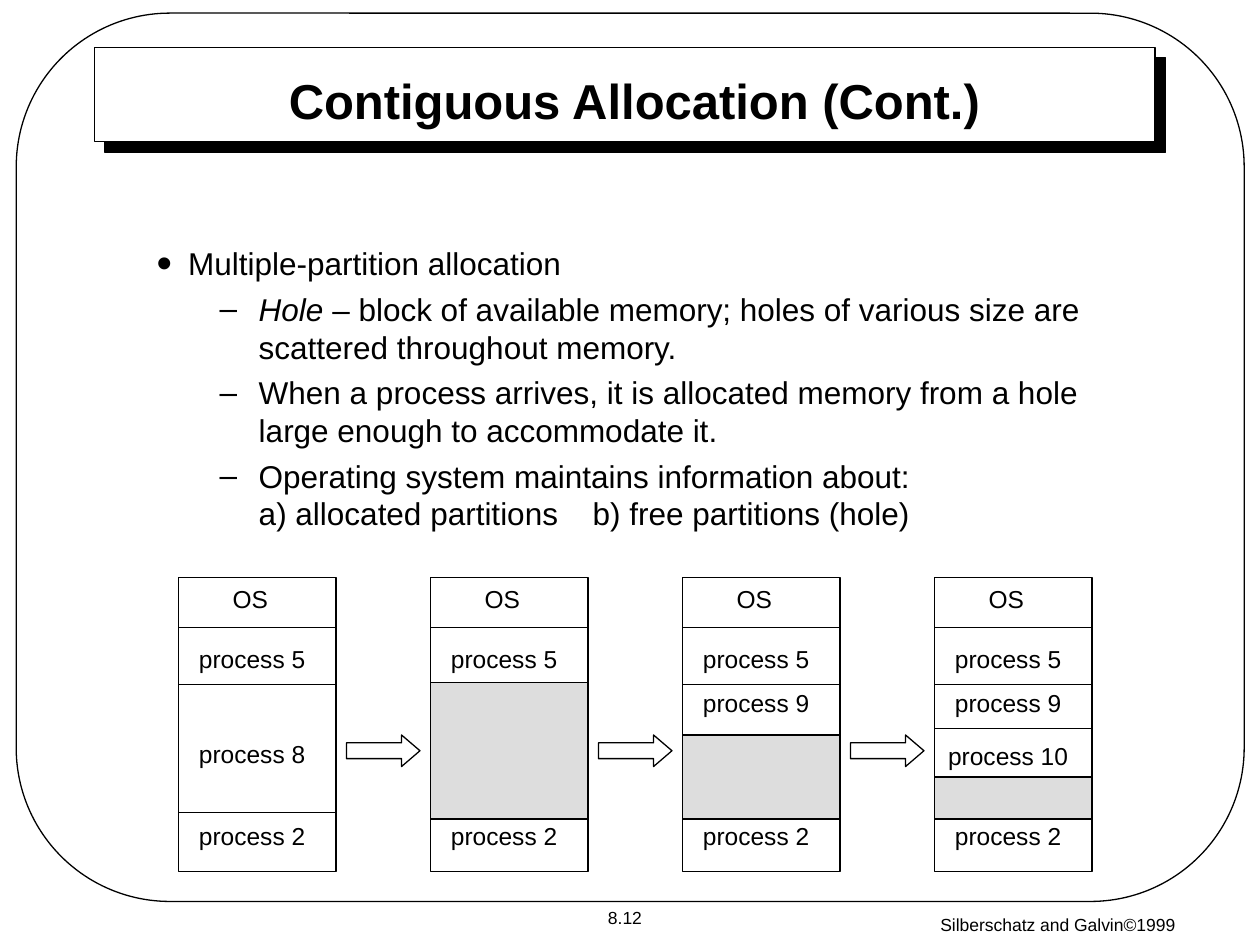
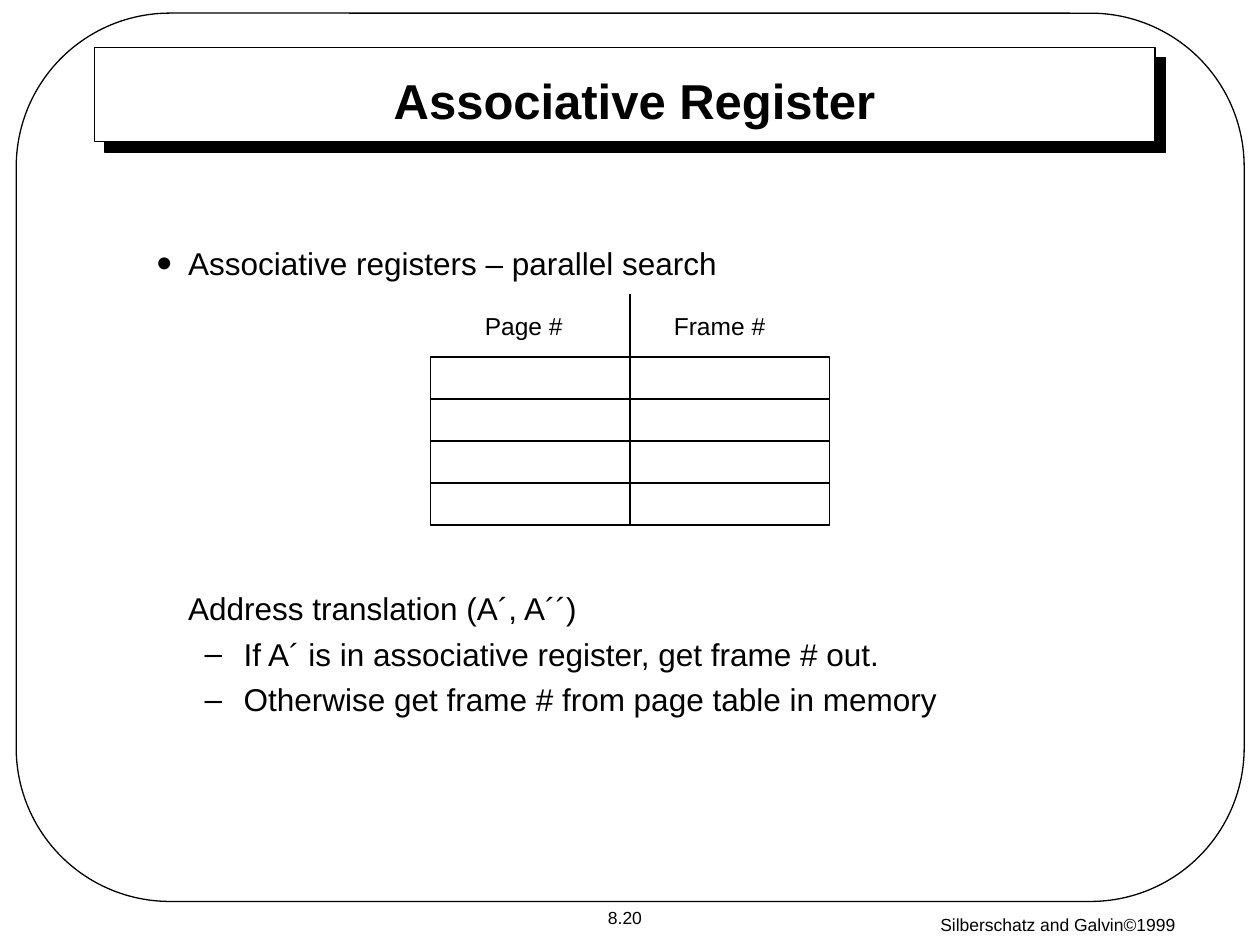
"""Build two lecture slides on memory allocation and associative registers."""
from lxml import etree
from pptx import Presentation, util as u
from pptx.dml.color import RGBColor
from pptx.enum import shapes as sh, text as tx
from pptx.oxml import parse_xml
from pptx.oxml.ns import qn, nsdecls

BLACK, WHITE, GREY = "000000", "FFFFFF", "DDDDDD"
FACE = "Arial"
FOOT = "Silberschatz and Galvin©1999"
UNIT = 1 / 12

HEADS = ["Contiguous Allocation (Cont.)", "Associative Register"]
PAGES = ["8.12", "8.20"]

# style: left margin, first-line indent, space before, bullet, bullet percent
STYLES = {
    "dot": (0.25, -0.25, 11.2, "•", 140),
    "dash": (0.81, -0.31, 4.5, "–", 100),
    "near": (0.69, -0.31, 4.5, "–", 100),
    "gap": (0.25, 0, 175.5, "", 100),
}
PARTS = [
    ("dot", "", "Multiple-partition allocation"),
    ("dash", "Hole", " – block of available memory; holes of various size "
     "are scattered throughout memory."),
    ("dash", "", "When a process arrives, it is allocated memory from a hole "
     "large enough to accommodate it."),
    ("dash", "", "Operating system maintains information about:\v"
     "a) allocated partitions\tb) free partitions (hole)"),
]
LOOKUP = [
    ("dot", "", "Associative registers – parallel search"),
    ("gap", "", "Address translation (A´, A´´)"),
    ("near", "", "If A´ is in associative register, get frame # out."),
    ("near", "", "Otherwise get frame # from page table in memory"),
]
TAB = 3.46

# label tops in inches; hole tops and all sizes below in grid units
FIXED = {"OS": 4.58, "process 5": 5.06, "process 2": 6.46}
LINES = [4.98, 5.43, 6.45]
STATES = [
    ({"process 8": 5.81}, [], None),
    ({}, [], 65),
    ({"process 9": 5.41}, [], 70),
    ({"process 9": 5.41, "process 10": 5.83}, [5.78], 74),
]
LEFT, STEP, WIDE = 17, 24, 15
TOP, TALL, FLOOR = 55, 28, 78

COLS = {"Page #": 45, "Frame #": 63}
ROWS, ROW, HEAD = 4, 4, 6
SIDE, SPAN, EDGE, MID = 41, 38, 34, 60


def rgb(code):
    """Turn a hex string into a colour."""
    return RGBColor.from_string(code)


def inches(*sizes):
    """Turn numbers into lengths."""
    return [u.Inches(s) for s in sizes]


def cells(*sizes):
    """Turn grid units into inches."""
    return [s * UNIT for s in sizes]


def style(par, size, bold=False):
    """Set the font of a paragraph."""
    font = par.font
    font.name, font.size, font.bold = FACE, u.Pt(size), bold
    font.color.rgb = rgb(BLACK)


def shape(slide, kind, box, fill=WHITE, adjust=()):
    """Add an outlined preset shape, placed in grid units."""
    item = slide.shapes.add_shape(kind, *inches(*cells(*box)))
    item.shadow.inherit = False
    if fill:
        item.fill.solid()
        item.fill.fore_color.rgb = rgb(fill)
    else:
        item.fill.background()
    item.line.color.rgb = rgb(BLACK)
    item.line.width = u.Pt(0.75)
    for i, value in enumerate(adjust):
        item.adjustments[i] = value
    return item


def rule(slide, x, y, wide, high=0):
    """Add a straight line."""
    line = slide.shapes.add_connector(
        sh.MSO_CONNECTOR.STRAIGHT, *inches(x, y, x + wide, y + high))
    line.line.color.rgb = rgb(BLACK)
    line.line.width = u.Pt(0.75)
    etree.SubElement(line.element.spPr, qn("a:effectLst"))


def label(slide, words, box, size=14, wrap=False, align=tx.PP_ALIGN.CENTER):
    """Add one line of text."""
    frame = slide.shapes.add_textbox(*inches(*box)).text_frame
    frame.word_wrap = wrap
    frame.vertical_anchor = tx.MSO_ANCHOR.MIDDLE
    par = frame.paragraphs[0]
    par.text, par.alignment = words, align
    style(par, size)


def start(deck, head, page):
    """Add a slide with its frame, title band and footers."""
    slide = deck.slides.add_slide(deck.slide_layouts[5])
    band = shape(slide, sh.MSO_SHAPE.RECTANGLE, (9, 4.5, 101, 9))
    band.element.spPr.find(qn("a:effectLst")).append(parse_xml(
        f'<a:outerShdw {nsdecls("a")} blurRad="0" dist="{u.Pt(8.5)}" '
        f'dir="2700000"><a:srgbClr val="{BLACK}"/></a:outerShdw>'))
    shape(slide, sh.MSO_SHAPE.ROUNDED_RECTANGLE, (1.55, 1.25, 116.95, 84.6),
          None, [0.173])
    label(slide, FOOT, (6.81, 7.2, 3.17, 0.27), 10)
    label(slide, page, (4.49, 7.15, 0.94, 0.27), 10)
    title = slide.shapes.title
    title.left, title.top, title.width, title.height = inches(
        1.27, 0.54, 7.53, 0.5)
    frame = title.text_frame
    frame.text = head
    frame.auto_size = tx.MSO_AUTO_SIZE.NONE
    frame.vertical_anchor = tx.MSO_ANCHOR.MIDDLE
    frame.paragraphs[0].alignment = tx.PP_ALIGN.CENTER
    style(frame.paragraphs[0], 28, True)
    title.element.getparent().append(title.element)
    return slide


def body(slide, items, high):
    """Add the bulleted text."""
    x, y, wide = cells(13.75, 22.65, 93.25)
    frame = slide.shapes.add_textbox(*inches(x, y, wide, high)).text_frame
    frame.word_wrap = True
    for i, (kind, lead, words) in enumerate(items):
        par = frame.add_paragraph() if i else frame.paragraphs[0]
        par.text = lead or words
        if lead:
            par.runs[0].font.italic = True
            par.add_run().text = words
        margin, indent, before, mark, scale = STYLES[kind]
        par.space_before = u.Pt(before)
        props = par._p.get_or_add_pPr()
        props.set("marL", str(u.Inches(margin)))
        props.set("indent", str(u.Inches(indent)))
        if mark:
            etree.SubElement(props, qn("a:buSzPct"), val=str(scale * 1000))
            etree.SubElement(props, qn("a:buFont"), typeface=FACE)
            etree.SubElement(props, qn("a:buChar"), char=mark)
        if "\t" in words:
            tabs = etree.SubElement(props, qn("a:tabLst"))
            etree.SubElement(tabs, qn("a:tab"), pos=str(u.Inches(TAB)), algn="l")
        style(par, 18)


def memory(slide):
    """Draw the states of memory and the arrows between them."""
    for i, (names, more, hole) in enumerate(STATES):
        col = LEFT + i * STEP
        x, wide = cells(col, WIDE)
        shape(slide, sh.MSO_SHAPE.RECTANGLE, (col, TOP, WIDE, TALL))
        for y in LINES + more:
            rule(slide, x, y, wide)
        if hole:
            shape(slide, sh.MSO_SHAPE.RECTANGLE,
                  (col, hole, WIDE, FLOOR - hole), GREY)
        for name, y in {**FIXED, **names}.items():
            if name == "OS":
                label(slide, name, (x + 0.33, y, 0.48, 0.34))
            else:
                label(slide, name, (x, y, 1.17, 0.34), wrap=True)
        if i:
            shape(slide, sh.MSO_SHAPE.RIGHT_ARROW, (col - 8, 70, 7, 3),
                  WHITE, [0.5, 0.583])


def registers(slide):
    """Draw the ruled box of pages and frames."""
    shape(slide, sh.MSO_SHAPE.RECTANGLE, (SIDE, EDGE, SPAN, ROWS * ROW))
    x, y, wide, high = cells(MID, EDGE - HEAD, 0, HEAD + ROWS * ROW)
    rule(slide, x, y, wide, high)
    for r in range(1, ROWS):
        rule(slide, *cells(SIDE, EDGE + r * ROW, SPAN))
    for name, col in COLS.items():
        label(slide, name, cells(col, 29, 17, 4), align=tx.PP_ALIGN.LEFT)


def main():
    """Build and save the slides."""
    deck = Presentation()
    deck.slide_width, deck.slide_height = inches(10, 7.5)
    first, second = [start(deck, *pair) for pair in zip(HEADS, PAGES)]
    body(first, PARTS, 2.61)
    memory(first)
    body(second, LOOKUP, 4.5)
    registers(second)
    deck.save("out.pptx")


if __name__ == "__main__":
    main()
